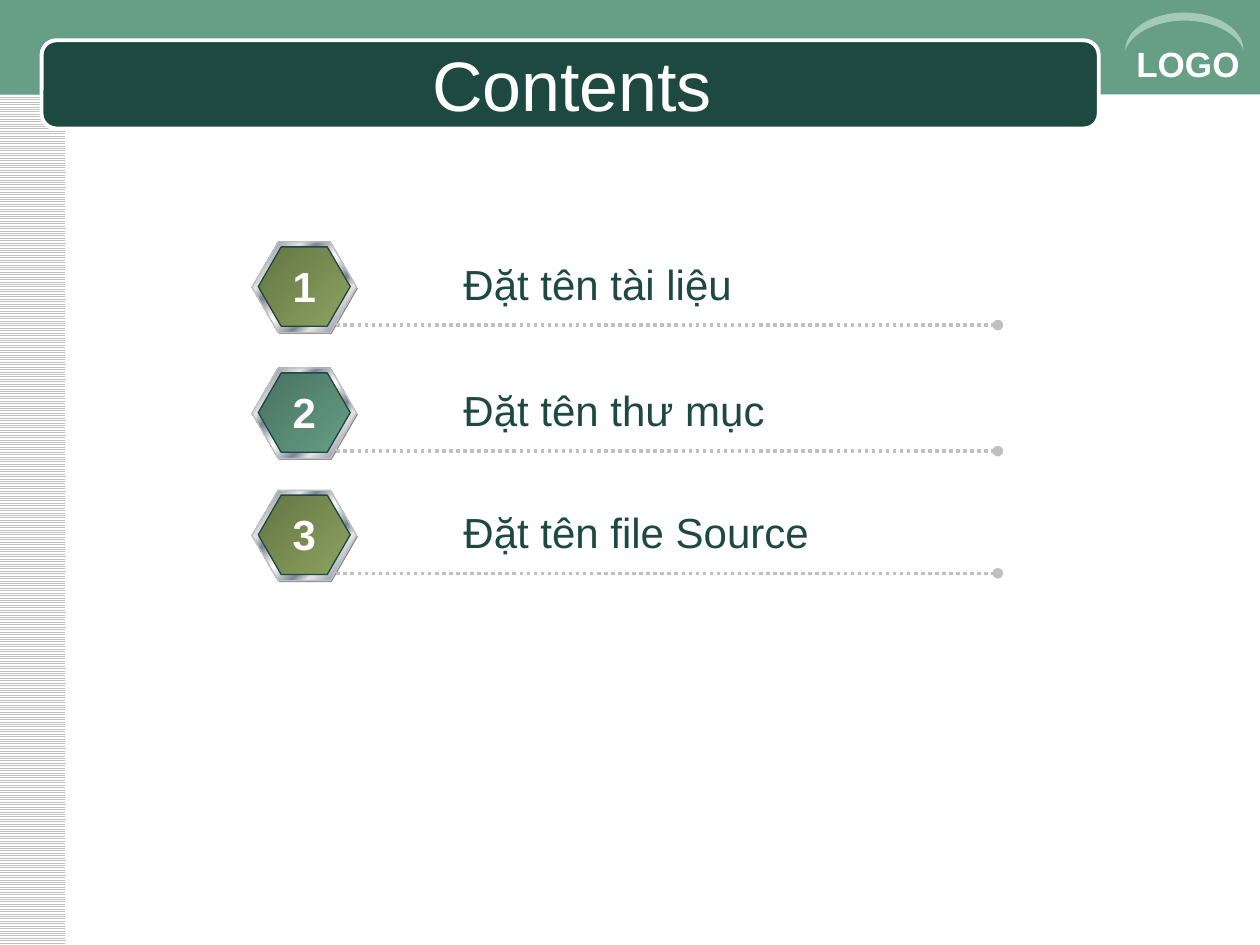
from lxml import etree
from pptx import Presentation
from pptx.dml.color import RGBColor
from pptx.enum.dml import MSO_LINE, MSO_PATTERN
from pptx.enum.shapes import MSO_CONNECTOR, MSO_SHAPE
from pptx.enum.text import MSO_ANCHOR, MSO_AUTO_SIZE, PP_ALIGN
from pptx.oxml.ns import qn
from pptx.util import Inches, Pt

RECT, ROUND = MSO_SHAPE.RECTANGLE, MSO_SHAPE.ROUNDED_RECTANGLE
HEX, MOON = MSO_SHAPE.HEXAGON, MSO_SHAPE.MOON
LEFT, MID = PP_ALIGN.LEFT, PP_ALIGN.CENTER
CENTER = MSO_ANCHOR.MIDDLE
FIT = MSO_AUTO_SIZE.SHAPE_TO_FIT_TEXT
DOTS, LINES = MSO_LINE.ROUND_DOT, MSO_PATTERN.LIGHT_HORIZONTAL
LINE = MSO_CONNECTOR.STRAIGHT

WHITE = RGBColor(0xFF, 0xFF, 0xFF)
SILVER = RGBColor(0xC0, 0xC0, 0xC0)
GREY = RGBColor(0x80, 0x80, 0x80)
PALE = RGBColor(0xE6, 0xE6, 0xE6)
STEEL = RGBColor(0x7D, 0x84, 0x96)
DARK = RGBColor(0x1D, 0x49, 0x40)
GREEN = RGBColor(0x66, 0x9E, 0x86)
PINE = RGBColor(0x49, 0x71, 0x60)
MINT = RGBColor(0xA2, 0xCA, 0xB4)
MOSS = RGBColor(0x64, 0x75, 0x44)
OLIVE = RGBColor(0x8C, 0xA3, 0x5F)

CHROME = [(0, PALE), (7, STEEL), (26, PALE), (34, STEEL), (46, PALE), (50, WHITE),
          (54, PALE), (66, STEEL), (74, PALE), (93, STEEL), (100, PALE)]
OLIVES = [(0, MOSS), (100, OLIVE)]
GREENS = [(0, PINE), (100, GREEN)]

W, H = 10, 7.5
# Top of each row, its label and its badge colours
ROWS = [(1.92, "Đặt tên tài liệu", OLIVES),
        (2.92, "Đặt tên thư mục", GREENS),
        (3.89, "Đặt tên file Source", OLIVES)]


def shade(shape, stops):
    """Fill with a gradient of many stops, at 45 degrees."""
    pr = shape._element.spPr
    grad = etree.Element(qn("a:gradFill"), rotWithShape="1")
    row = etree.SubElement(grad, qn("a:gsLst"))
    for pos, color in stops:
        stop = etree.SubElement(row, qn("a:gs"), pos=str(pos * 1000))
        etree.SubElement(stop, qn("a:srgbClr"), val=str(color))
    etree.SubElement(grad, qn("a:lin"), ang="2700000", scaled="1")
    pr.find(qn("a:prstGeom")).addnext(grad)


def add_form(shapes, kind, box, fill=None, edge=None, width=0.75, adj=None):
    shape = shapes.add_shape(kind, *map(Inches, box))
    shape.shadow.inherit = False
    if adj is not None:
        shape.adjustments[0] = adj
    if isinstance(fill, list):
        shade(shape, fill)
    elif fill is not None:
        shape.fill.solid()
        shape.fill.fore_color.rgb = fill
    if edge is None:
        shape.line.fill.background()
    else:
        shape.line.color.rgb = edge
        shape.line.width = Pt(width)
    return shape


def write(frame, text, size, color, bold=False, align=LEFT):
    para = frame.paragraphs[0]
    para.alignment = align
    run = para.add_run()
    run.text = text
    font = run.font
    font.name, font.size, font.bold = "Arial", Pt(size), bold
    font.color.rgb = color


def add_text(shapes, box, text, size, color, bold=False, align=LEFT, wrap=False):
    frame = shapes.add_textbox(*map(Inches, box)).text_frame
    frame.word_wrap = wrap
    frame.auto_size = FIT
    write(frame, text, size, color, bold, align)


def add_frame(shapes):
    """Striped side, top band and title bar."""
    side = add_form(shapes, RECT, (-0.01, 0, 0.53, H))
    side.fill.patterned()
    side.fill.pattern = LINES
    side.fill.fore_color.rgb = SILVER
    side.fill.back_color.rgb = WHITE
    add_form(shapes, RECT, (0, 0, W + 0.01, H / 10), GREEN)
    add_form(shapes, ROUND, (0.33, 0.32, 8.39, 0.7), DARK, WHITE, 2.25, 0.167)


def add_mark(shapes, x, y):
    """Corner word under an arc."""
    add_text(shapes, (x, y, W - x, 0.43), "LOGO", 20, WHITE, True, wrap=True)
    arc = add_form(shapes, MOON, (x + 0.33, y - 0.51, 0.3, 0.94), MINT, adj=0.212)
    arc.rotation = 90


def set_title(shapes, box):
    title = shapes.title
    title.left, title.top, title.width, title.height = map(Inches, box)
    frame = title.text_frame
    frame.vertical_anchor = CENTER
    write(frame, "Contents", 40, WHITE, align=MID)
    shapes._spTree.append(title._element)  # in front of the bar


def add_badge(shapes, x, y, fill):
    """Hexagon with shade, metal rim and coloured face."""
    parts = shapes.add_group_shape().shapes
    add_form(parts, HEX, (x + 0.01, y + 0.01, 0.83, 0.72), GREY, adj=0.289)
    add_form(parts, HEX, (x, y, 0.83, 0.72), CHROME, SILVER, adj=0.289)
    add_form(parts, HEX, (x + 0.05, y + 0.04, 0.73, 0.63), fill, DARK, adj=0.289)


def add_rule(shapes, x, y, end):
    rule = shapes.add_connector(LINE, *map(Inches, (x, y, end, y)))
    rule.line.color.rgb = SILVER
    rule.line.width = Pt(2)
    rule.line.dash_style = DOTS
    etree.SubElement(rule.line._get_or_add_ln(), qn("a:tailEnd"), type="oval")
    etree.SubElement(rule._element.spPr, qn("a:effectLst"))


def add_row(shapes, x, y, num, label, fill):
    add_badge(shapes, x, y, fill)
    add_rule(shapes, x + 0.67, y + 0.66, x + 5.92)
    add_text(shapes, (x + 1.58, y + 0.08, 2.97, 0.5), label, 24, DARK)
    add_text(shapes, (x + 0.22, y + 0.1, 0.39, 0.5), str(num), 24, WHITE, True, MID)


def main():
    deck = Presentation()
    deck.slide_width, deck.slide_height = Inches(W), Inches(H)
    shapes = deck.slides.add_slide(deck.slide_layouts[5]).shapes
    add_frame(shapes)
    add_mark(shapes, 8.92, 0.29)
    set_title(shapes, (0.5, 0.35, 8.08, 0.62))
    for num, (top, label, fill) in enumerate(ROWS, 1):
        add_row(shapes, W / 5, top, num, label, fill)
    deck.save("out.pptx")


if __name__ == "__main__":
    main()
